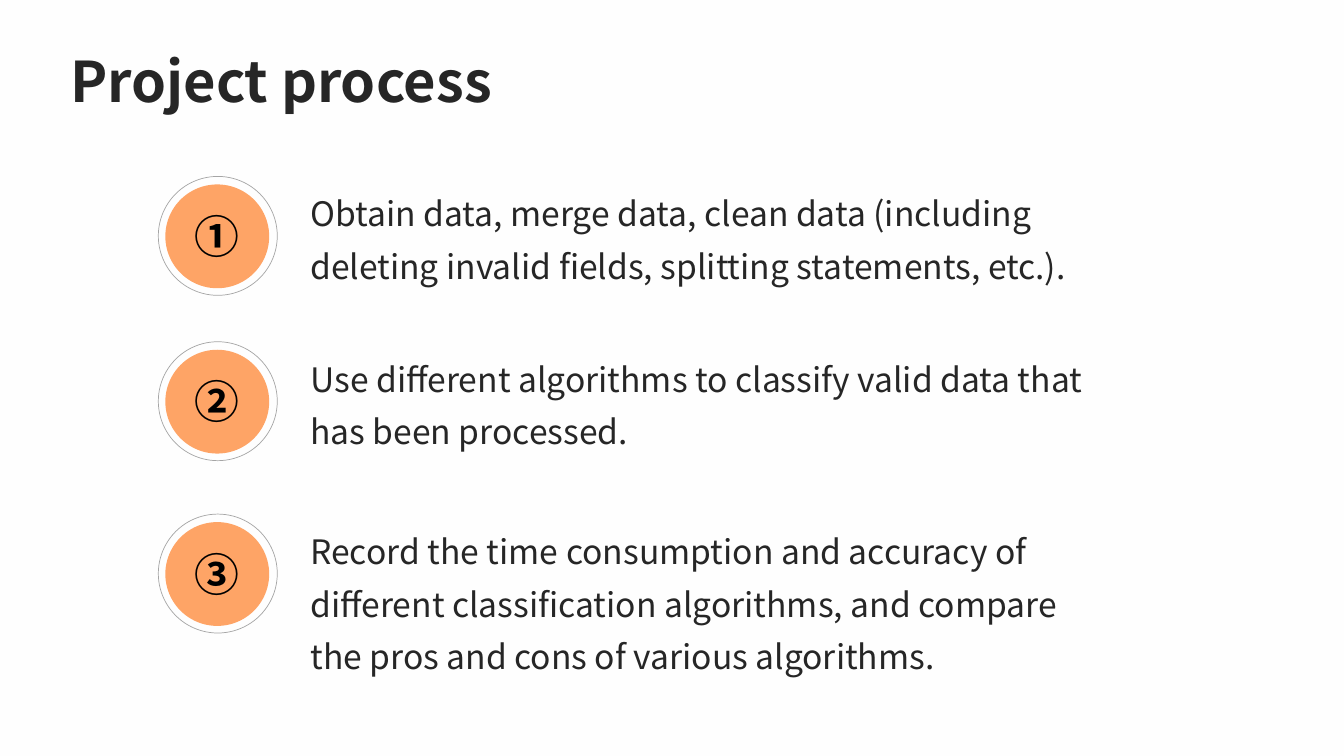
from dataclasses import dataclass

from lxml.etree import SubElement
from pptx import Presentation
from pptx.dml.color import RGBColor
from pptx.enum.shapes import MSO_SHAPE
from pptx.enum.text import MSO_ANCHOR, MSO_AUTO_SIZE, PP_ALIGN
from pptx.oxml.ns import qn
from pptx.util import Inches, Pt


@dataclass(frozen=True)
class Theme:
    font: str = "Noto Sans CJK SC"
    background: RGBColor = RGBColor(0xFE, 0xFE, 0xFE)
    ink: RGBColor = RGBColor(0x26, 0x26, 0x26)
    numeral: RGBColor = RGBColor(0, 0, 0)
    disc: RGBColor = RGBColor(0xFE, 0xA4, 0x66)
    ring: RGBColor = RGBColor(0xA5, 0xA5, 0xA5)
    title_size: Pt = Pt(40)
    numeral_size: Pt = Pt(32)
    body_size: Pt = Pt(24)


theme = Theme()


def write(box, text, size, color, bold=False, spacing=1.0, wrap=True):
    frame = box.text_frame
    frame.word_wrap = wrap
    frame.auto_size = MSO_AUTO_SIZE.SHAPE_TO_FIT_TEXT
    frame.vertical_anchor = MSO_ANCHOR.TOP
    paragraph = frame.paragraphs[0]
    paragraph.alignment = PP_ALIGN.LEFT
    paragraph.line_spacing = spacing
    paragraph.space_before = Pt(0)
    run = paragraph.add_run()
    run.text = text
    run.font.size = size
    run.font.bold = bold
    run.font.color.rgb = color
    run.font.name = theme.font
    SubElement(run.font._element, qn("a:ea"), typeface=theme.font)


def add_circle(group, left, top, diameter):
    circle = group.shapes.add_shape(
        MSO_SHAPE.OVAL, Inches(left), Inches(top), Inches(diameter), Inches(diameter)
    )
    circle.shadow.inherit = False
    return circle


prs = Presentation()
prs.slide_width = Inches(13.33)
prs.slide_height = Inches(7.5)
slide = prs.slides.add_slide(prs.slide_layouts[5])
slide.background.fill.solid()
slide.background.fill.fore_color.rgb = theme.background

title = slide.shapes.title
title.left, title.top = Inches(0.6), Inches(0.21)
title.width, title.height = Inches(4.62), Inches(0.97)
write(title, "Project process", theme.title_size, theme.ink, bold=True, spacing=1.3, wrap=False)

steps = [
    (1.75, 1.14, "①", "Obtain data, merge data, clean data (including deleting invalid fields, splitting statements, etc.)."),
    (3.39, 1.14, "②", "Use different algorithms to classify valid data that has been processed."),
    (5.1, 1.66, "③", "Record the time consumption and accuracy of different classification algorithms, and compare the pros and cons of various algorithms."),
]

for top, height, number, description in steps:
    step = slide.shapes.add_group_shape()

    disc = add_circle(step, 1.64, top + 0.08, 1.03)
    disc.fill.solid()
    disc.fill.fore_color.rgb = theme.disc
    disc.line.fill.background()

    ring = add_circle(step, 1.57, top, 1.18)
    ring.fill.background()
    ring.line.color.rgb = theme.ring
    ring.line.width = Pt(0.5)

    detail = step.shapes.add_textbox(Inches(2.98), Inches(top), Inches(8.1), Inches(height))
    write(detail, description, theme.body_size, theme.ink, spacing=1.3)

    numeral = slide.shapes.add_textbox(Inches(1.83), Inches(top + 0.27), Inches(0.65), Inches(0.63))
    write(numeral, number, theme.numeral_size, theme.numeral, bold=True, wrap=False)

prs.save("out.pptx")
